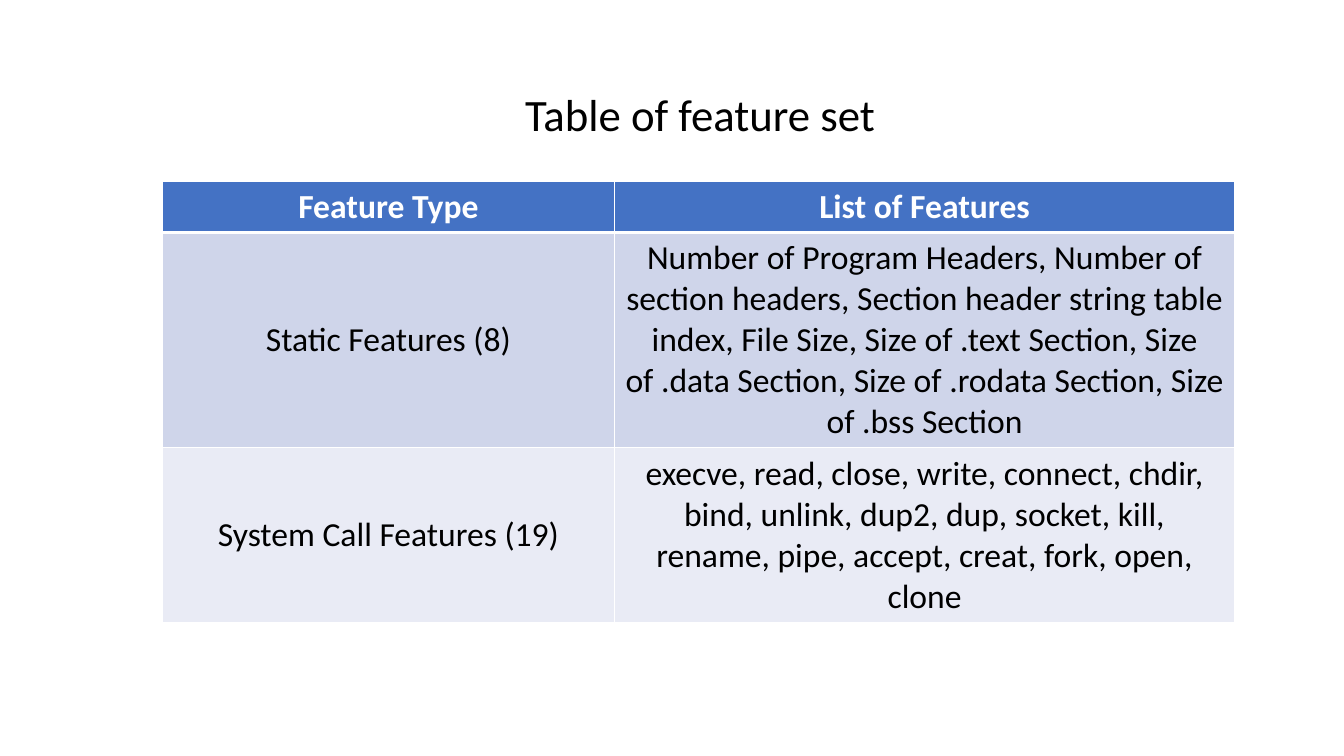
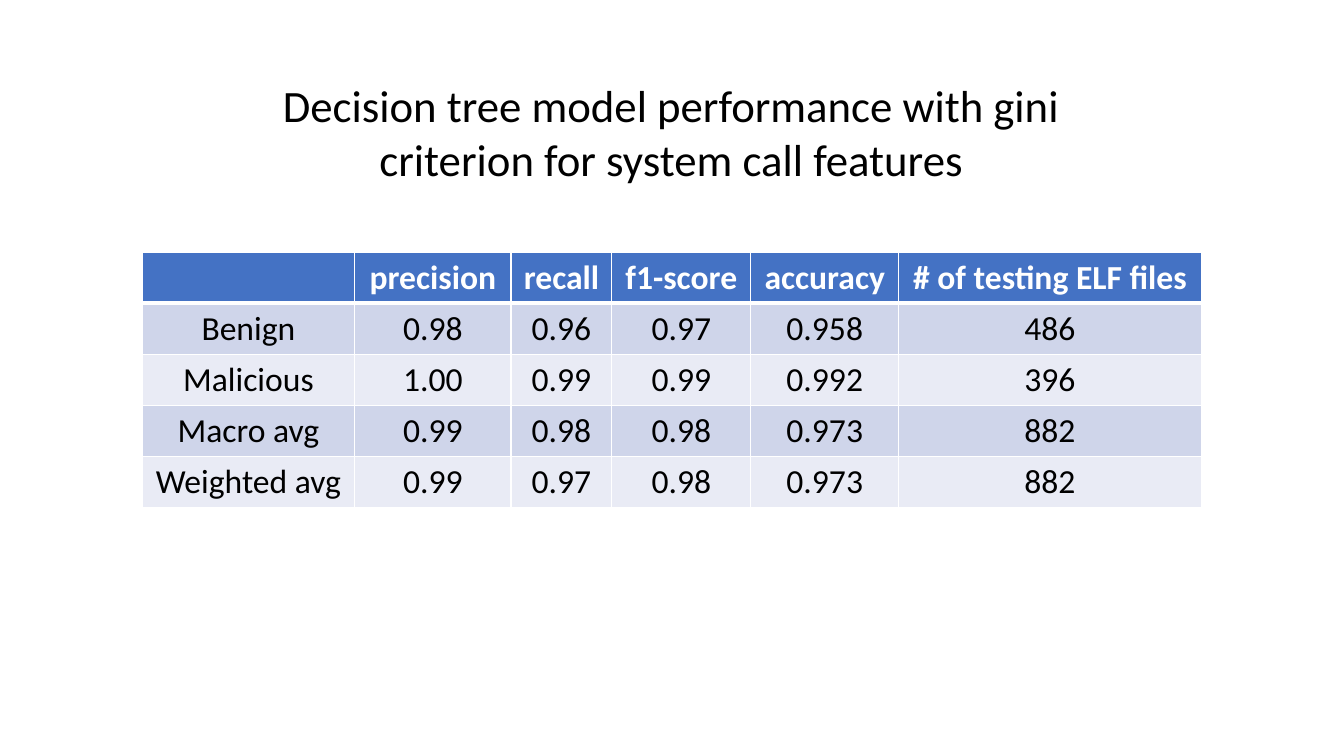
from dataclasses import dataclass

from lxml import etree
from pptx import Presentation
from pptx.dml.color import RGBColor
from pptx.enum import text as t
from pptx.oxml import ns
from pptx.util import Cm, Pt

FONT = "Calibri"
BLACK = RGBColor(0x00, 0x00, 0x00)
WHITE = RGBColor(0xFF, 0xFF, 0xFF)
HEADER_BLUE = RGBColor(0x44, 0x72, 0xC4)
BANDS = (RGBColor(0xCF, 0xD5, 0xEA), RGBColor(0xE9, 0xEB, 0xF5))
THIN, THICK = Pt(1), Pt(3)
LINE_ROW = 1.29  # height in cm of a row with one line of text
TITLE_ONLY = 5


@dataclass(frozen=True)
class Box:
    """A place on the slide, in centimetres."""
    left: float
    top: float
    width: float
    height: float


@dataclass(frozen=True)
class TableSlide:
    title: str
    title_box: Box
    title_align: t.PP_ALIGN
    table_left: float
    table_top: float
    columns: tuple[float, ...]
    row_heights: tuple[float, ...]
    rows: tuple[tuple[str, ...], ...]


SLIDES = (
    TableSlide(
        title="Table of feature set",
        title_box=Box(12.98, 2.06, 9.42, 1.63),
        title_align=t.PP_ALIGN.LEFT,
        table_left=4.09,
        table_top=4.57,
        columns=(11.4, 15.62),
        row_heights=(LINE_ROW, 5.42, 4.42),
        rows=(
            ("Feature Type", "List of Features"),
            ("Static Features (8)",
             "Number of Program Headers, Number of section headers, "
             "Section header string table index, File Size, "
             "Size of .text Section, Size of .data Section, "
             "Size of .rodata Section, Size of .bss Section"),
            ("System Call Features (19)",
             "execve, read, close, write, connect, chdir, bind, unlink, "
             "dup2, dup, socket, kill, rename, pipe, accept, creat, fork, "
             "open, clone"),
        ),
    ),
    TableSlide(
        title="Decision tree model performance with gini criterion "
              "for system call features",
        title_box=Box(5.92, 1.83, 22, 3),
        title_align=t.PP_ALIGN.CENTER,
        table_left=3.58,
        table_top=6.35,
        columns=(5.36, 3.94, 2.54, 3.5, 3.73, 7.62),
        row_heights=(LINE_ROW,) * 5,
        rows=(
            ("", "precision", "recall", "f1-score", "accuracy",
             "# of testing ELF files"),
            ("Benign", "0.98", "0.96", "0.97", "0.958", "486"),
            ("Malicious", "1.00", "0.99", "0.99", "0.992", "396"),
            ("Macro avg", "0.99", "0.98", "0.98", "0.973", "882"),
            ("Weighted avg", "0.99", "0.97", "0.98", "0.973", "882"),
        ),
    ),
)


def write_text(frame, text: str, *, size: int, color: RGBColor = BLACK,
               bold: bool = False,
               align: t.PP_ALIGN = t.PP_ALIGN.CENTER) -> None:
    para = frame.paragraphs[0]
    para.alignment = align
    span = para.add_run()
    span.text = text
    span.font.name = FONT
    span.font.size = Pt(size)
    span.font.bold = bold
    span.font.color.rgb = color


def set_borders(cell, top: int, bottom: int) -> None:
    """Give the cell white borders; call before filling it."""
    properties = cell._tc.get_or_add_tcPr()
    widths = {"a:lnL": THIN, "a:lnR": THIN, "a:lnT": top, "a:lnB": bottom}
    for tag, width in widths.items():
        line = etree.SubElement(properties, ns.qn(tag), w=str(int(width)))
        fill = etree.SubElement(line, ns.qn("a:solidFill"))
        etree.SubElement(fill, ns.qn("a:srgbClr"), val=str(WHITE))


def add_title(page, content: TableSlide) -> None:
    title, box = page.shapes.title, content.title_box
    title.left, title.top = Cm(box.left), Cm(box.top)
    title.width, title.height = Cm(box.width), Cm(box.height)
    frame = title.text_frame
    frame.word_wrap = True
    frame.auto_size = t.MSO_AUTO_SIZE.NONE
    frame.vertical_anchor = t.MSO_ANCHOR.TOP
    write_text(frame, content.title, size=32, align=content.title_align)


def add_banded_table(page, content: TableSlide) -> None:
    table = page.shapes.add_table(
        len(content.rows), len(content.columns),
        Cm(content.table_left), Cm(content.table_top),
        Cm(sum(content.columns)), Cm(sum(content.row_heights))).table
    for column, width in zip(table.columns, content.columns):
        column.width = Cm(width)
    for index, values in enumerate(content.rows):
        table.rows[index].height = Cm(content.row_heights[index])
        header = index == 0
        for cell, value in zip(table.rows[index].cells, values):
            set_borders(cell, top=THICK if index == 1 else THIN,
                        bottom=THICK if header else THIN)
            cell.fill.solid()
            cell.fill.fore_color.rgb = (
                HEADER_BLUE if header else BANDS[(index - 1) % 2])
            cell.vertical_anchor = t.MSO_ANCHOR.MIDDLE
            if value:
                write_text(cell.text_frame, value, size=24, bold=header,
                           color=WHITE if header else BLACK)


def main() -> None:
    deck = Presentation()
    deck.slide_width, deck.slide_height = Cm(33.87), Cm(19.05)
    for content in SLIDES:
        page = deck.slides.add_slide(deck.slide_layouts[TITLE_ONLY])
        add_title(page, content)
        add_banded_table(page, content)
    deck.save("out.pptx")


if __name__ == "__main__":
    main()
